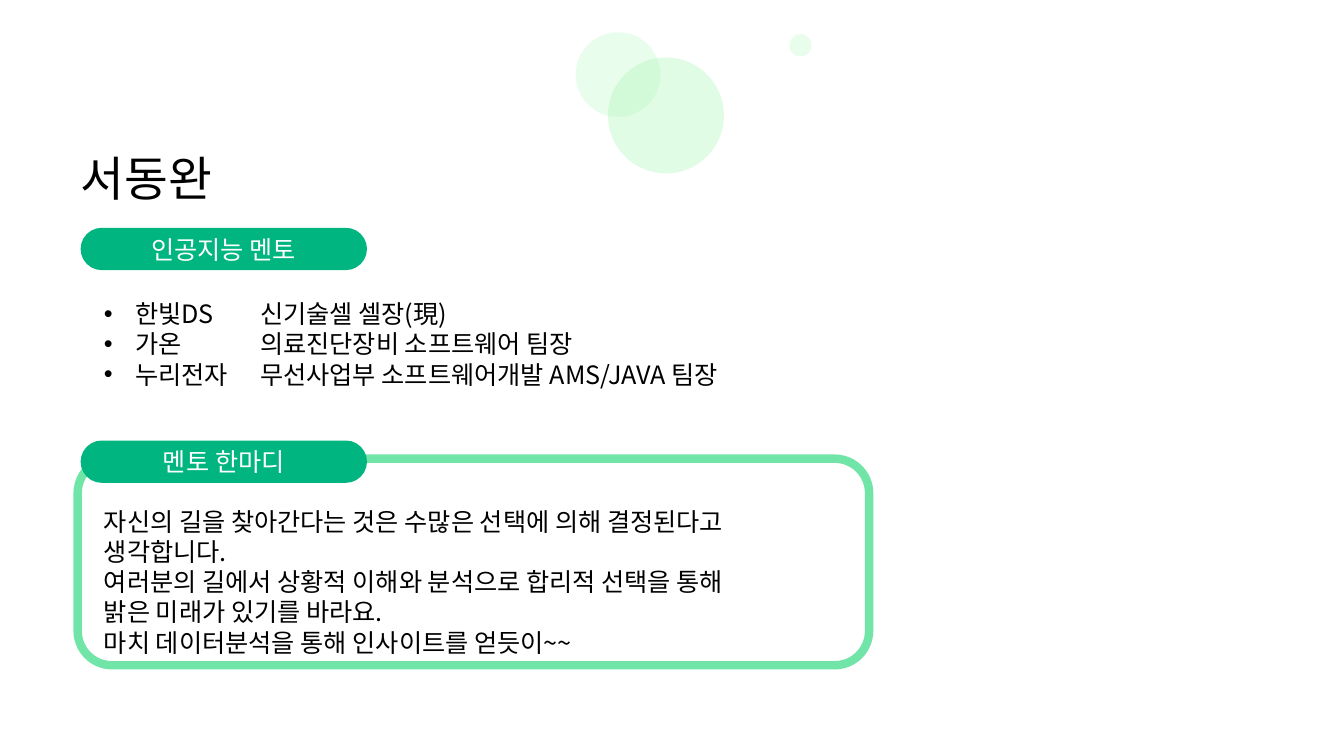
"""Build the mentor profile slide."""
from lxml import etree
from pptx import Presentation
from pptx.dml.color import RGBColor
from pptx.enum.shapes import MSO_SHAPE
from pptx.enum.text import MSO_ANCHOR, MSO_AUTO_SIZE, PP_ALIGN
from pptx.oxml.ns import qn
from pptx.util import Inches, Pt

OVAL, ROUND = MSO_SHAPE.OVAL, MSO_SHAPE.ROUNDED_RECTANGLE
MIDDLE, NO_FIT = MSO_ANCHOR.MIDDLE, MSO_AUTO_SIZE.NONE
LEFT, CENTER = PP_ALIGN.LEFT, PP_ALIGN.CENTER
FONT = "Noto Sans CJK KR"
COLORS = {"text": "000000", "white": "FFFFFF", "label": "00B57F",
          "frame": "71E5A8", "bubble": "A9F8B7", "dot": "E9FDED"}
BUBBLES = [(6.03, 0.57, 1.15, "bubble", 35),
           (5.71, 0.32, 0.84, "bubble", 25),
           (7.83, 0.34, 0.22, "dot", 100)]
CAREER = [("한빛DS", "신기술셀 셀장(現)"),
          ("가온", "의료진단장비 소프트웨어 팀장"),
          ("누리전자", "무선사업부 소프트웨어개발 AMS/JAVA 팀장")]
MESSAGE = ["자신의 길을 찾아간다는 것은 수많은 선택에 의해 결정된다고 생각합니다.",
           "여러분의 길에서 상황적 이해와 분석으로 합리적 선택을 통해",
           "밝은 미래가 있기를 바라요.",
           "마치 데이터분석을 통해 인사이트를 얻듯이~~"]


def rgb(name):
    return RGBColor.from_string(COLORS[name])


def place(sp, x, y, w, h):
    sp.left, sp.top, sp.width, sp.height = map(Inches, (x, y, w, h))


def add_run(p, text, size=18, color="text"):
    r = p.add_run()
    r.text = text
    r.font.size, r.font.name = Pt(size), FONT
    r.font.color.rgb = rgb(color)
    etree.SubElement(r.font._element, qn("a:ea"), typeface=FONT)


def add_shape(s, kind, x, y, w, h, fill=None, line=None):
    sp = s.shapes.add_shape(kind, *map(Inches, (x, y, w, h)))
    sp.shadow.inherit = False
    if fill:
        sp.fill.solid()
        sp.fill.fore_color.rgb = rgb(fill)
    else:
        sp.fill.background()
    if line:
        sp.line.color.rgb, sp.line.width = rgb(line), Pt(6)
    else:
        sp.line.fill.background()
    return sp


def add_bubble(s, x, y, size, color, opacity):
    sp = add_shape(s, OVAL, x, y, size, size, color)
    if opacity < 100:
        clr = sp._element.spPr.find(".//" + qn("a:srgbClr"))
        etree.SubElement(clr, qn("a:alpha"), val=str(opacity * 1000))


def add_label(s, y, text):
    sp = add_shape(s, ROUND, 0.8, y, 2.84, 0.42, "label")
    sp.adjustments[0] = 0.5
    sp.text_frame.vertical_anchor = MIDDLE
    p = sp.text_frame.paragraphs[0]
    p.alignment = CENTER
    add_run(p, text, color="white")


def set_title(sp, text):
    place(sp, 0.8, 1.42, 3.4, 0.62)
    tf = sp.text_frame
    tf.margin_left = tf.margin_right = tf.margin_top = tf.margin_bottom = 0
    tf.vertical_anchor, tf.auto_size = MIDDLE, NO_FIT
    p = tf.paragraphs[0]
    p.alignment, p.line_spacing = LEFT, 1.1
    add_run(p, text, 34)


def fill_body(sp, lines, bullet=False):
    tf = sp.text_frame
    tf.word_wrap, tf.auto_size = True, NO_FIT
    for i, line in enumerate(lines):
        p = tf.paragraphs[0] if i == 0 else tf.add_paragraph()
        p.space_before = Pt(0)
        pPr = p._p.get_or_add_pPr()
        indent = Inches(0.31) if bullet else 0
        pPr.set("marL", str(indent))
        pPr.set("indent", str(-indent))
        if bullet:
            etree.SubElement(pPr, qn("a:buChar"), char="•")
            tabs = etree.SubElement(pPr, qn("a:tabLst"))
            etree.SubElement(tabs, qn("a:tab"), pos=str(Inches(1.55)), algn="l")
        else:
            etree.SubElement(pPr, qn("a:buNone"))
        add_run(p, line)


def main():
    prs = Presentation()
    prs.slide_width, prs.slide_height = Inches(13.33), Inches(7.5)
    s = prs.slides.add_slide(prs.slide_layouts[3])
    title, career, message = s.placeholders
    set_title(title, "서동완")
    place(career, 0.93, 2.91, 8.67, 1.01)
    fill_body(career, ["\t".join(row) for row in CAREER], bullet=True)
    place(message, 0.93, 4.97, 7.53, 1.6)
    fill_body(message, MESSAGE)
    for bubble in BUBBLES:
        add_bubble(s, *bubble)
    add_shape(s, ROUND, 0.77, 4.55, 7.85, 2.05, line="frame")
    add_label(s, 2.26, "인공지능 멘토")
    add_label(s, 4.37, "멘토 한마디")
    prs.save("out.pptx")


main()
